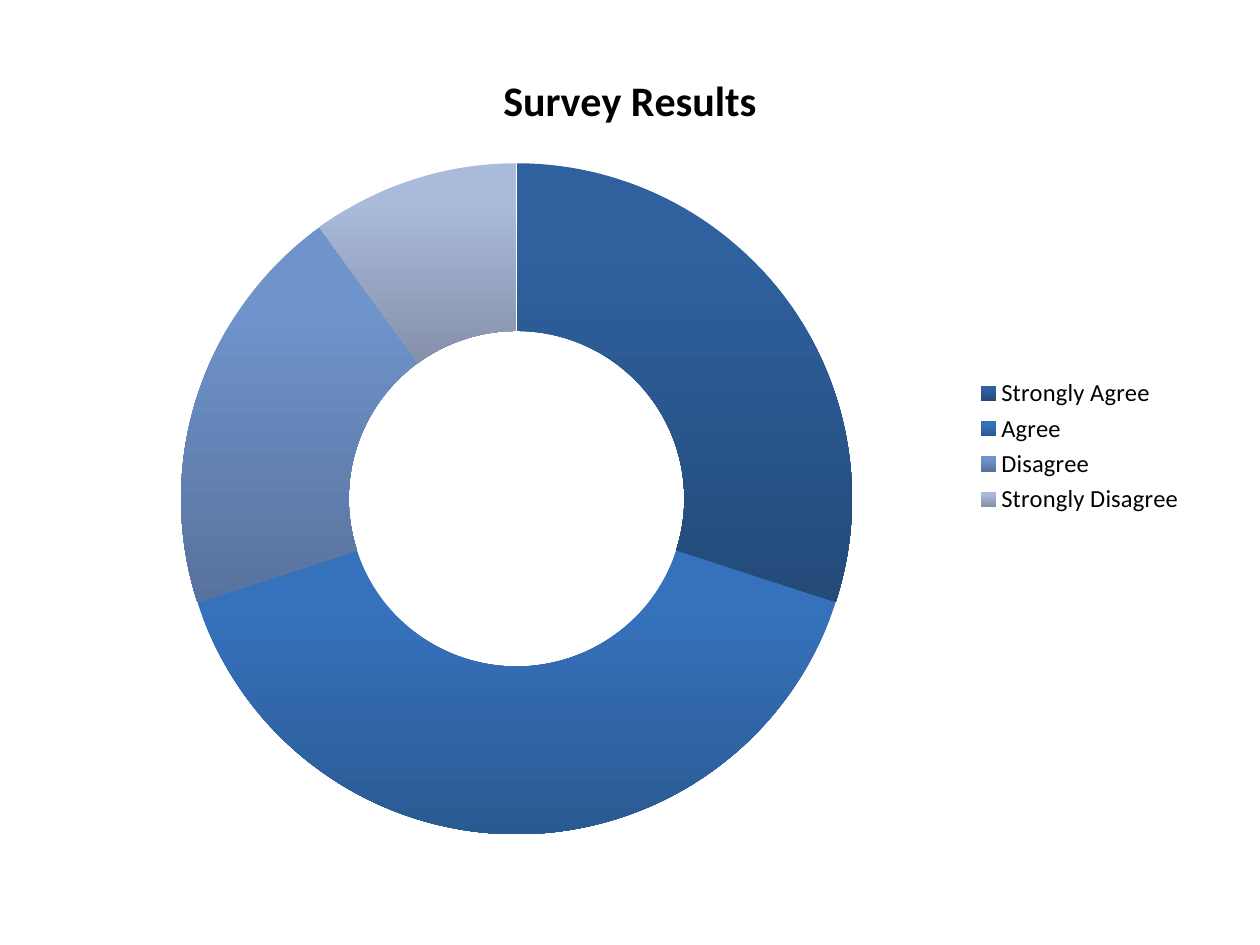
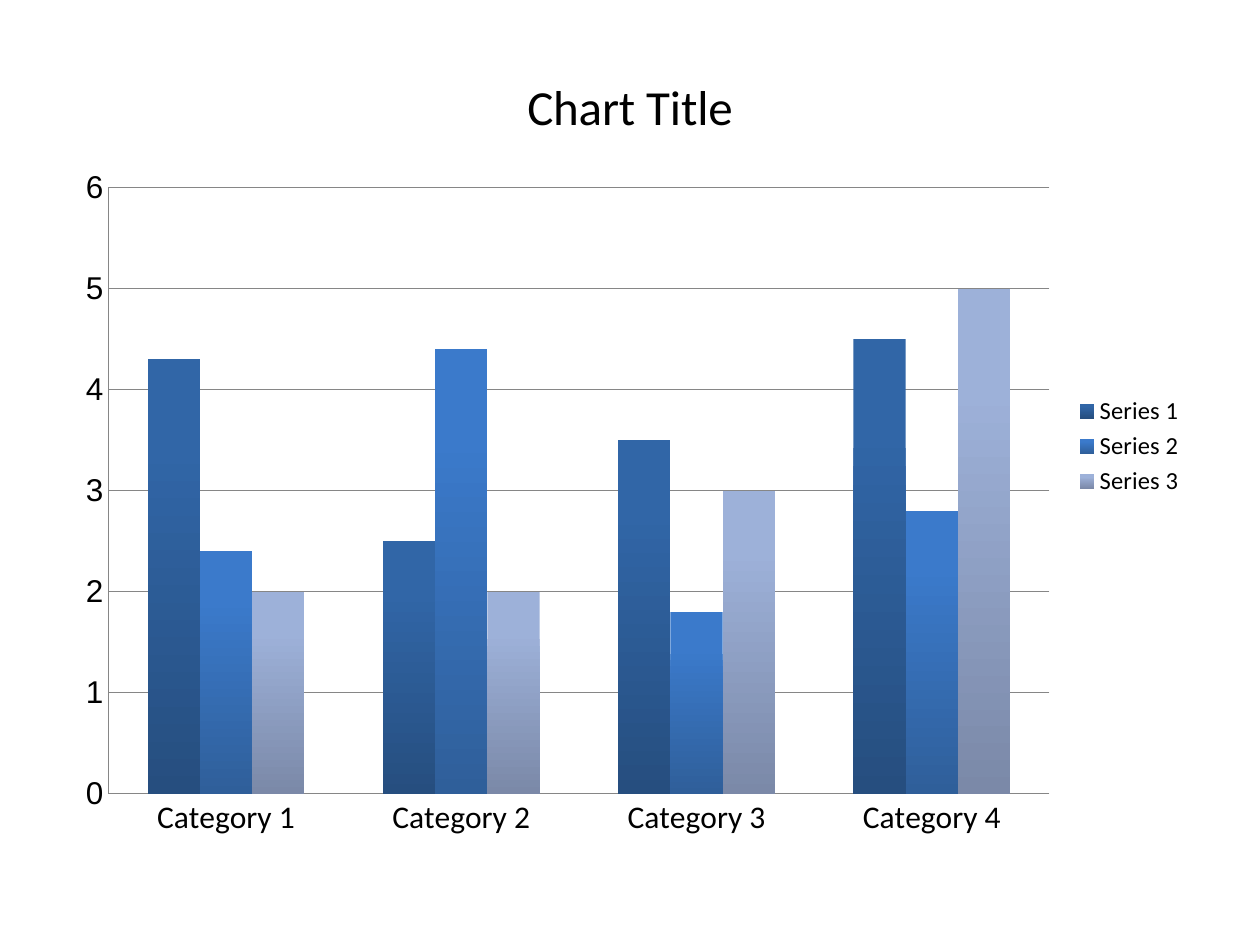
from dataclasses import dataclass

from lxml.etree import SubElement
from pptx import Presentation
from pptx.chart.data import CategoryChartData
from pptx.dml.color import RGBColor
from pptx.enum.chart import XL_CHART_TYPE as ChartType
from pptx.enum.chart import XL_LEGEND_POSITION as LegendPosition
from pptx.enum.chart import XL_TICK_MARK as TickMark
from pptx.oxml.ns import qn
from pptx.util import Pt

# Content
SURVEY = {
    "title": "Survey Results",
    "categories": ["Strongly Agree", "Agree", "Disagree", "Strongly Disagree"],
    "series": [("Survey Results", [30, 40, 20, 10])],
}
COMPARISON = {
    "title": "Chart Title",
    "categories": [f"Category {number}" for number in range(1, 5)],
    "series": [
        ("Series 1", [4.3, 2.5, 3.5, 4.5]),
        ("Series 2", [2.4, 4.4, 1.8, 2.8]),
        ("Series 3", [2, 2, 3, 5]),
    ],
}


@dataclass(frozen=True)
class Theme:
    text: str = "000000"
    line: str = "868686"
    heading_font: str = "Calibri"
    axis_font: str = "Arial"
    survey_title_size: int = 24
    comparison_title_size: int = 28
    axis_size: int = 18
    legend_size: int = 14
    # Top and bottom colour of each gradient
    ring_colors: tuple = (("2F619F", "234A78"), ("3672BC", "2A5A92"),
                          ("6F94CB", "58729E"), ("AABADB", "8690A9"))
    column_colors: tuple = (("3166A7", "264E7F"), ("3B7ACB", "2F5F9A"),
                            ("9DB1D9", "7B89A8"))


THEME = Theme()

# Geometry: the chart frame in points, plot areas as fractions of it
SLIDE_SIZE = (720, 540)
CHART_FRAME = (36, 24, 648, 462)
RING_AREA = {"x": 0.1, "y": 0.15, "w": 0.6, "h": 0.83}
COLUMN_AREA = {"x": 0.04, "y": 0.18, "w": 0.83, "h": 0.75}


def style_font(font, name=THEME.heading_font, size=THEME.axis_size, bold=False):
    font.name, font.size, font.bold = name, Pt(size), bold
    font.color.rgb = RGBColor.from_string(THEME.text)


def write_text(text_frame, text, **format_options):
    text_frame.text = text
    style_font(text_frame.paragraphs[0].runs[0].font, **format_options)


def shade(target, colors):
    """Fill a chart part from top to bottom, flat over the first fifth."""
    fill = target.format.fill
    fill.gradient()
    fill.gradient_angle = 270
    for stop, color, position in zip(fill.gradient_stops, colors, (0.2, 1)):
        stop.color.rgb = RGBColor.from_string(color)
        stop.position = position
    target.format.line.fill.background()


def place_plot(chart, area):
    plot_area = chart._chartSpace.chart.plotArea
    for layout in plot_area.findall(qn("c:layout")):
        plot_area.remove(layout)
    layout = SubElement(plot_area, qn("c:layout"))
    plot_area.insert(0, layout)
    manual = SubElement(layout, qn("c:manualLayout"))
    settings = {"layoutTarget": "inner", "xMode": "edge", "yMode": "edge", **area}
    for tag, value in settings.items():
        SubElement(manual, qn(f"c:{tag}")).set("val", str(value))


def add_chart_slide(presentation, chart_type, content, area, **title_format):
    slide = presentation.slides.add_slide(presentation.slide_layouts[6])
    data = CategoryChartData()
    data.categories = content["categories"]
    for name, values in content["series"]:
        data.add_series(name, values)
    chart = slide.shapes.add_chart(chart_type, *map(Pt, CHART_FRAME), data).chart
    style_font(chart.font, name=THEME.axis_font)
    chart.has_title = True
    write_text(chart.chart_title.text_frame, content["title"], **title_format)
    chart.chart_title.include_in_layout = False
    chart.has_legend = True
    chart.legend.position = LegendPosition.RIGHT
    chart.legend.include_in_layout = False
    style_font(chart.legend.font, size=THEME.legend_size)
    place_plot(chart, area)
    return chart


def build_survey(presentation):
    chart = add_chart_slide(presentation, ChartType.DOUGHNUT, SURVEY, RING_AREA,
                            size=THEME.survey_title_size, bold=True)
    plot = chart.plots[0]
    plot.vary_by_categories = True
    for index, colors in enumerate(THEME.ring_colors):
        shade(plot.series[0].points[index], colors)


def build_comparison(presentation):
    chart = add_chart_slide(presentation, ChartType.COLUMN_CLUSTERED, COMPARISON,
                            COLUMN_AREA, size=THEME.comparison_title_size)
    plot = chart.plots[0]
    plot.vary_by_categories = False
    plot.gap_width, plot.overlap = 150, 0
    for series, colors in zip(plot.series, THEME.column_colors):
        shade(series, colors)

    # Axes and gridlines
    values = chart.value_axis
    values.minimum_scale, values.maximum_scale, values.major_unit = 0, 6, 1
    values.has_major_gridlines = True
    style_font(values.tick_labels.font, name=THEME.axis_font)
    style_font(chart.category_axis.tick_labels.font)
    for axis in (values, chart.category_axis):
        axis.major_tick_mark = axis.minor_tick_mark = TickMark.NONE
    for part in (values, chart.category_axis, values.major_gridlines):
        part.format.line.color.rgb = RGBColor.from_string(THEME.line)
        part.format.line.width = Pt(0.75)


def main():
    presentation = Presentation()
    presentation.slide_width, presentation.slide_height = map(Pt, SLIDE_SIZE)
    build_survey(presentation)
    build_comparison(presentation)
    presentation.save("out.pptx")


if __name__ == "__main__":
    main()
